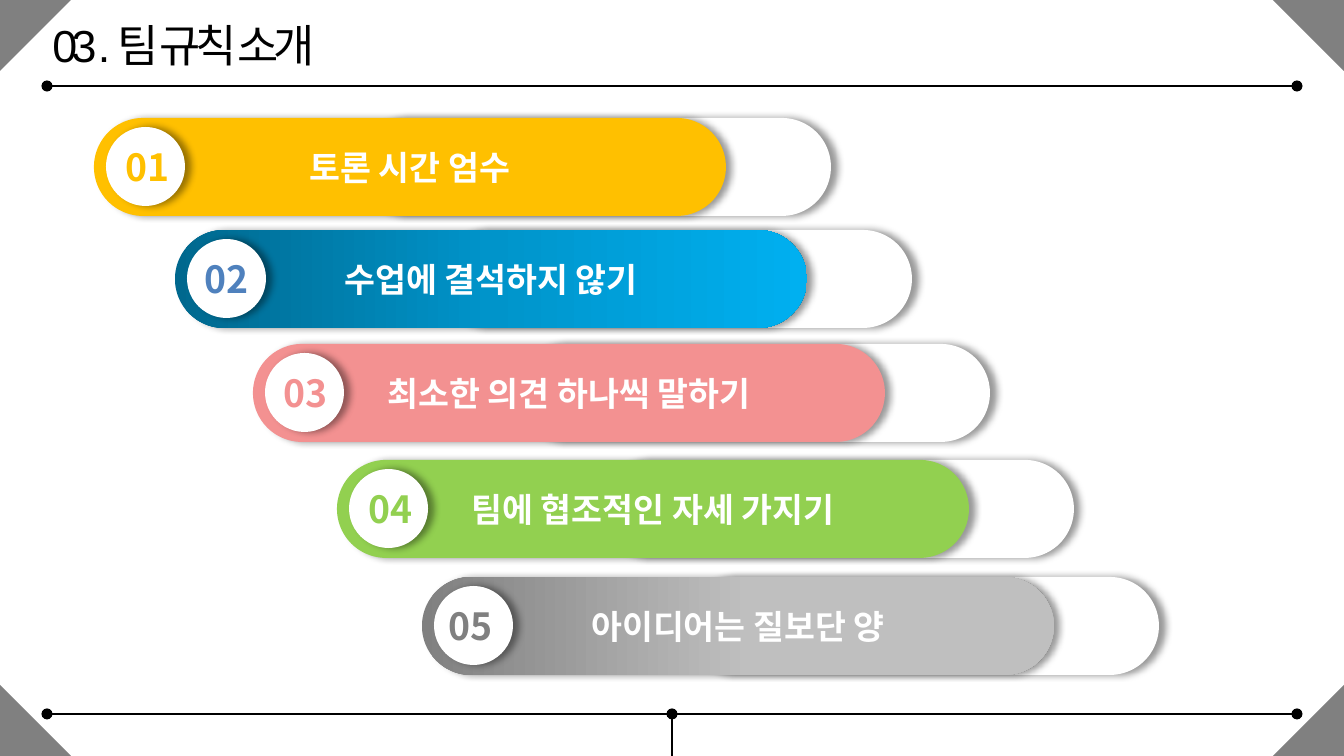
"""Build the slide that introduces the five team rules."""

from dataclasses import dataclass

from lxml.etree import SubElement
from pptx import Presentation
from pptx.dml.color import RGBColor
from pptx.enum.shapes import MSO_CONNECTOR, MSO_SHAPE
from pptx.enum.text import MSO_ANCHOR, MSO_AUTO_SIZE, PP_ALIGN
from pptx.oxml.ns import qn
from pptx.util import Emu, Pt

PX_PER_INCH = 134.4
PAGE_WIDTH, PAGE_HEIGHT = 1344, 756
CORNER = 71
LINE_LEFT, LINE_RIGHT = 47, 1297
TITLE_LINE, FOOT_LINE = 86, 714
BAR_WIDTH, BAR_HEIGHT = 632, 98
TAIL_OFFSET, TAIL_WIDTH = 261, 476
BADGE_LEFT, BADGE_TOP, BADGE_SIZE = 12, 9, 79
NUMBER_TOP, NUMBER_HEIGHT = 20, 59

TITLE_FONT = "Arial"
RULE_FONT = "Noto Sans CJK KR"

BLACK = RGBColor(0x00, 0x00, 0x00)
WHITE = RGBColor(0xFF, 0xFF, 0xFF)
GRAY = RGBColor(0x80, 0x80, 0x80)
SILVER = RGBColor(0xBF, 0xBF, 0xBF)
AMBER = RGBColor(0xFF, 0xC0, 0x00)
DEEP_BLUE = RGBColor(0x00, 0x68, 0x8E)
MID_BLUE = RGBColor(0x00, 0x94, 0xCA)
SKY_BLUE = RGBColor(0x00, 0xB0, 0xF0)
STEEL_BLUE = RGBColor(0x4F, 0x81, 0xBD)
PINK = RGBColor(0xF3, 0x91, 0x91)
GREEN = RGBColor(0x92, 0xD0, 0x50)


@dataclass(frozen=True)
class Rule:
    text: str
    left: int
    top: int
    color: RGBColor
    number_left: int
    number_width: int
    gradient: tuple = ()


@dataclass(frozen=True)
class Corner:
    left: int
    top: int
    rotation: int
    flipped: bool


RULES = (
    Rule("토론 시간 엄수", 94, 118, AMBER, 112, 79),
    Rule("수업에 결석하지 않기", 175, 230, STEEL_BLUE, 191, 77,
         ((0, DEEP_BLUE), (50, MID_BLUE), (100, SKY_BLUE))),
    Rule("최소한 의견 하나씩 말하기", 253, 344, PINK, 270, 86),
    Rule("팀에 협조적인 자세 가지기", 337, 460, GREEN, 355, 97),
    Rule("아이디어는 질보단 양", 422, 577, GRAY, 435, 86,
         ((0, GRAY), (52, SILVER), (100, SILVER))),
)

CORNERS = (
    Corner(PAGE_WIDTH - CORNER, 0, 270, True),
    Corner(PAGE_WIDTH - CORNER, PAGE_HEIGHT - CORNER, 0, True),
    Corner(0, 0, 90, False),
    Corner(0, PAGE_HEIGHT - CORNER, 0, False),
)


def px(length: int) -> Emu:
    """Turn pixels into EMU."""
    return Emu(round(length * 914400 / PX_PER_INCH))


def write(shape, text: str, *, size: int, color: RGBColor, font: str = RULE_FONT,
          bold: bool = False, align=PP_ALIGN.LEFT, anchor=MSO_ANCHOR.TOP,
          wrap: bool = True, grow: bool = False, spacing: int = 0) -> None:
    """Put one formatted line of text into a shape."""
    frame = shape.text_frame
    frame.word_wrap = wrap
    frame.vertical_anchor = anchor
    frame.auto_size = MSO_AUTO_SIZE.SHAPE_TO_FIT_TEXT if grow else MSO_AUTO_SIZE.NONE
    para = frame.paragraphs[0]
    para.alignment = align
    span = para.add_run()
    span.text = text
    span.font.size = Pt(size)
    span.font.bold = bold
    span.font.color.rgb = color
    span.font.name = font
    properties = span.font._element
    SubElement(properties, qn("a:ea"), typeface=font)
    if spacing:
        properties.set("spc", str(spacing * 100))


def add_shape(shapes, kind, left: int, top: int, width: int, height: int, color: RGBColor):
    """Add a plain filled shape without outline or shadow."""
    shape = shapes.add_shape(kind, px(left), px(top), px(width), px(height))
    shape.fill.solid()
    shape.fill.fore_color.rgb = color
    shape.line.fill.background()
    shape.shadow.inherit = False
    return shape


def add_raised(shapes, kind, left: int, top: int, width: int, height: int, color: RGBColor):
    """Add a filled shape that casts a soft shadow to the right."""
    shape = add_shape(shapes, kind, left, top, width, height, color)
    if kind == MSO_SHAPE.ROUNDED_RECTANGLE:
        shape.adjustments[0] = 0.5
    effects = shape._element.spPr.find(qn("a:effectLst"))
    shadow = SubElement(effects, qn("a:outerShdw"), blurRad=str(Pt(4)),
                        dist=str(Pt(3)), dir="0", algn="l", rotWithShape="0")
    tint = SubElement(shadow, qn("a:srgbClr"), val=str(BLACK))
    SubElement(tint, qn("a:alpha"), val="40000")
    return shape


def set_gradient(shape, stops: tuple) -> None:
    """Fill a shape with a left-to-right gradient."""
    shape.fill.gradient()
    shape.fill.gradient_angle = 0
    stop_list = shape._element.spPr.find(qn("a:gradFill")).find(qn("a:gsLst"))
    for stop in list(stop_list):
        stop_list.remove(stop)
    for position, color in stops:
        stop = SubElement(stop_list, qn("a:gs"), pos=str(position * 1000))
        SubElement(stop, qn("a:srgbClr"), val=str(color))


def add_line(page, start: tuple[int, int], end: tuple[int, int], *ends: str) -> None:
    """Add a thin black line with round dots at the named ends."""
    line = page.shapes.add_connector(MSO_CONNECTOR.STRAIGHT, *map(px, start + end))
    line.line.color.rgb = BLACK
    line.line.width = Pt(0.75)
    properties = line._element.spPr
    for name in ends:
        SubElement(properties.find(qn("a:ln")), qn(f"a:{name}"), type="oval")
    SubElement(properties, qn("a:effectLst"))


def add_corner(page, corner: Corner) -> None:
    """Add a triangle in one corner of the page."""
    triangle = add_shape(page.shapes, MSO_SHAPE.RIGHT_TRIANGLE, corner.left, corner.top,
                         CORNER, CORNER, GRAY)
    triangle.rotation = corner.rotation
    if corner.flipped:
        triangle._element.spPr.find(qn("a:xfrm")).set("flipH", "1")


def add_rule(page, rule: Rule) -> None:
    """Add the grouped tail, bar and badge of a rule."""
    shapes = page.shapes.add_group_shape().shapes
    pill = MSO_SHAPE.ROUNDED_RECTANGLE
    add_raised(shapes, pill, rule.left + TAIL_OFFSET, rule.top, TAIL_WIDTH, BAR_HEIGHT, WHITE)
    bar = add_raised(shapes, pill, rule.left, rule.top, BAR_WIDTH, BAR_HEIGHT, rule.color)
    if rule.gradient:
        set_gradient(bar, rule.gradient)
    write(bar, rule.text, size=18, color=WHITE, bold=True,
          align=PP_ALIGN.CENTER, anchor=MSO_ANCHOR.MIDDLE)
    add_raised(shapes, MSO_SHAPE.OVAL, rule.left + BADGE_LEFT, rule.top + BADGE_TOP,
               BADGE_SIZE, BADGE_SIZE, WHITE)


def add_number(page, number: int, rule: Rule) -> None:
    """Add the two-digit number over the badge of a rule."""
    box = page.shapes.add_textbox(px(rule.number_left), px(rule.top + NUMBER_TOP),
                                  px(rule.number_width), px(NUMBER_HEIGHT))
    write(box, f"{number:02d}", size=20, color=rule.color, bold=True, grow=True)


def main() -> None:
    """Build and save the deck."""
    deck = Presentation()
    deck.slide_width, deck.slide_height = px(PAGE_WIDTH), px(PAGE_HEIGHT)
    page = deck.slides.add_slide(deck.slide_layouts[5])

    title = page.shapes.title
    title.left, title.top, title.width, title.height = map(px, (39, 11, 309, 67))
    write(title, "03 . 팀 규칙 소개", size=24, color=BLACK, font=TITLE_FONT,
          wrap=False, grow=True, spacing=-3)

    middle = PAGE_WIDTH // 2
    add_line(page, (middle, PAGE_HEIGHT), (middle, FOOT_LINE), "tailEnd")
    for height in (FOOT_LINE, TITLE_LINE):
        add_line(page, (LINE_LEFT, height), (LINE_RIGHT, height), "headEnd", "tailEnd")
    for corner in CORNERS:
        add_corner(page, corner)
    for rule in RULES:
        add_rule(page, rule)
    for number, rule in enumerate(RULES, start=1):
        add_number(page, number, rule)
    deck.save("out.pptx")


if __name__ == "__main__":
    main()
